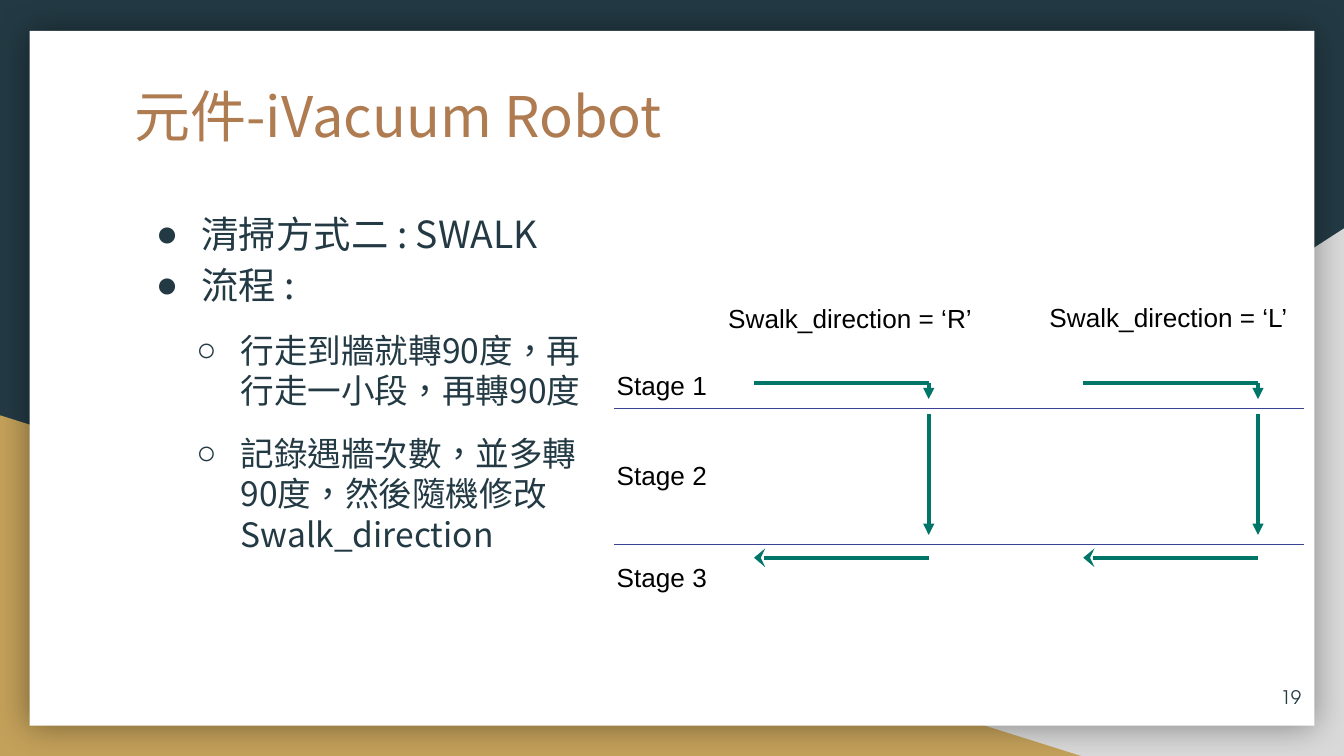
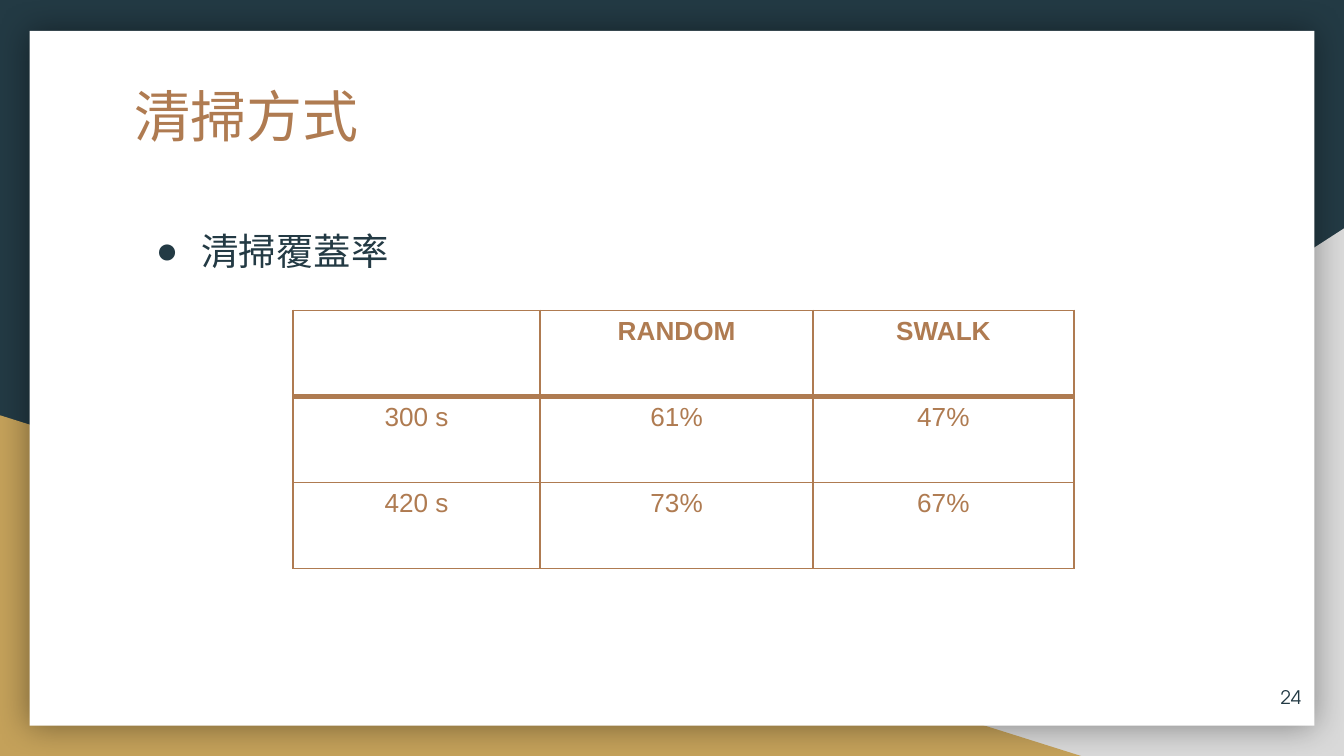
from dataclasses import dataclass

from lxml import etree
from pptx import Presentation
from pptx.dml.color import RGBColor
from pptx.enum import shapes, text
from pptx.oxml import ns
from pptx.util import Inches, Pt


@dataclass(frozen=True)
class Theme:
    navy: str = "233A44"
    gold: str = "C4A15A"
    grey: str = "D9D9D9"
    white: str = "FFFFFF"
    black: str = "000000"
    copper: str = "AF7B51"
    teal: str = "007669"
    indigo: str = "3A4293"
    cjk: str = "Noto Sans CJK SC"
    sans: str = "Arial"
    number: str = "TeX Gyre Adventor"
    language: str = "zh-TW"
    title_size: int = 30
    body_sizes: tuple = (20, 18)
    label_size: int = 14
    number_size: int = 10


THEME = Theme()

# Content: bullets are (level, text)
SWALK = {
    "title": "元件-iVacuum Robot", "number": "19",
    "body_at": (0.9, 1.42, 3.69, 3.43),
    "bullets": [(0, "清掃方式二 : SWALK"),
                (0, "流程 :"),
                (1, "行走到牆就轉90度，再行走一小段，再轉90度"),
                (1, "記錄遇牆次數，並多轉90度，然後隨機修改Swalk_direction")],
}
COVERAGE = {
    "title": "清掃方式", "number": "24",
    "body_at": (0.9, 1.55, 8.21, 3.3),
    "bullets": [(0, "清掃覆蓋率")],
}
DIAGRAM_LABELS = [
    ("Swalk_direction = ‘R’", (5.32, 2.2, 2.03, 0.34)),
    ("Swalk_direction = ‘L’", (7.71, 2.19, 1.99, 0.34)),
    ("Stage 1", (4.49, 2.7, 0.88, 0.34)),
    ("Stage 2", (4.49, 3.37, 0.88, 0.34)),
    ("Stage 3", (4.49, 4.13, 0.88, 0.34)),
]
ROUTE_LEFTS = (5.61, 8.06)
ROUTE_WIDTH = 1.3
STAGE_LINES = (3.04, 4.05)
RATES = [["", "RANDOM", "SWALK"],
         ["300 s", "61%", "47%"],
         ["420 s", "73%", "67%"]]
RATE_COLUMNS = (1.84, 2.03, 1.94)
RATE_ROW = 0.64

# Bullet character, left margin, hanging indent, space before, line spacing
BULLET_LEVELS = [("●", 0.5, -0.34, 0, 1.15), ("○", 0.79, -0.33, 12, 1.0)]


# Shared helpers
def inches(values):
    return [Inches(value) for value in values]


def add_xml(parent, tag, **attributes):
    child = etree.SubElement(parent, ns.qn(tag))
    for key, value in attributes.items():
        child.set(key, str(value))
    return child


def add_colour(parent, colour):
    fill = add_xml(parent, "a:solidFill")
    return add_xml(fill, "a:srgbClr", val=colour)


def style(para, face, size, colour, bold=False):
    font = para.font
    font.name, font.size, font.bold = face, Pt(size), bold
    font.color.rgb = RGBColor.from_string(colour)
    add_xml(font._element, "a:ea", typeface=face)
    for span in para.runs:
        span.font._element.set("lang", THEME.language)


def set_frame(frame, anchor, inset=0.1):
    frame.word_wrap = True
    frame.auto_size = text.MSO_AUTO_SIZE.NONE
    frame.vertical_anchor = anchor
    frame.margin_left = frame.margin_right = Inches(inset)
    frame.margin_top = frame.margin_bottom = Inches(inset)


def place(shape, at):
    shape.left, shape.top, shape.width, shape.height = inches(at)


def add_line(group, start, end, colour, width, arrow=None):
    line = group.add_connector(shapes.MSO_CONNECTOR.STRAIGHT, *inches(start + end))
    line.line.color.rgb = RGBColor.from_string(colour)
    line.line.width = Pt(width)
    if arrow:
        breadth = "lg" if arrow == "stealth" else "med"
        add_xml(line.line._get_or_add_ln(), "a:tailEnd", type=arrow, w=breadth)
    add_xml(line._element.spPr, "a:effectLst")


# Master scenery: dark ground, two corner triangles, white sheet
def build_master(deck, page):
    master = deck.slide_master
    master.background.fill.solid()
    master.background.fill.fore_color.rgb = RGBColor.from_string(THEME.navy)
    triangle, rectangle = shapes.MSO_SHAPE.RIGHT_TRIANGLE, shapes.MSO_SHAPE.RECTANGLE
    scenery = [(triangle, (3.92, 1.7, 6.08, 3.93), THEME.grey, True),
               (triangle, (0, 3.09, 8.06, 2.54), THEME.gold, False),
               (rectangle, (0.22, 0.23, 9.56, 5.17), THEME.white, False)]
    for depth, (kind, at, colour, flipped) in enumerate(scenery):
        shape = page.shapes.add_shape(kind, *inches(at))
        shape.shadow.inherit = False
        shape.fill.solid()
        shape.fill.fore_color.rgb = RGBColor.from_string(colour)
        shape.line.fill.background()
        if flipped:
            shape._element.spPr.xfrm.set("flipH", "1")
        if kind == rectangle:
            effects = shape._element.spPr.find(ns.qn("a:effectLst"))
            shadow = add_xml(effects, "a:outerShdw", blurRad=Pt(18), dist=0,
                             dir=0, algn="ctr", rotWithShape=0)
            tint = add_xml(shadow, "a:srgbClr", val=THEME.black)
            add_xml(tint, "a:alpha", val=40000)
        master.shapes._spTree.insert(2 + depth, shape._element)


# Title, bullet list and page number
def fill_page(page, content):
    title, body = page.placeholders
    place(title, (0.9, 0.51, 8.21, 1.04))
    set_frame(title.text_frame, text.MSO_ANCHOR.TOP)
    title.text_frame.text = content["title"]
    para = title.text_frame.paragraphs[0]
    para.alignment = text.PP_ALIGN.LEFT
    style(para, THEME.cjk, THEME.title_size, THEME.copper)

    place(body, content["body_at"])
    frame = body.text_frame
    set_frame(frame, text.MSO_ANCHOR.TOP)
    frame.text = "\n".join(words for _, words in content["bullets"])
    for para, (level, _) in zip(frame.paragraphs, content["bullets"]):
        mark, margin, indent, before, spacing = BULLET_LEVELS[level]
        para.level = level
        props = para._p.get_or_add_pPr()
        props.set("marL", str(Inches(margin)))
        props.set("indent", str(Inches(indent)))
        add_xml(add_xml(props, "a:buClr"), "a:srgbClr", val=THEME.navy)
        add_xml(props, "a:buFont", typeface=THEME.sans)
        add_xml(props, "a:buChar", char=mark)
        para.space_before, para.line_spacing = Pt(before), spacing
        style(para, THEME.cjk, THEME.body_sizes[level], THEME.navy)

    number = page.shapes.add_textbox(*inches((9.18, 4.97, 0.6, 0.43))).text_frame
    set_frame(number, text.MSO_ANCHOR.MIDDLE)
    number.text = content["number"]
    number.paragraphs[0].alignment = text.PP_ALIGN.RIGHT
    style(number.paragraphs[0], THEME.number, THEME.number_size, THEME.navy)


# Walking routes across the three stages
def add_diagram(page):
    for words, at in DIAGRAM_LABELS:
        frame = page.shapes.add_textbox(*inches(at)).text_frame
        frame.word_wrap = False
        frame.auto_size = text.MSO_AUTO_SIZE.SHAPE_TO_FIT_TEXT
        frame.text = words
        style(frame.paragraphs[0], THEME.sans, THEME.label_size, THEME.black)
    for left in ROUTE_LEFTS:
        right = left + ROUTE_WIDTH
        route = page.shapes.add_group_shape().shapes
        for start, end, arrow in [((left, 2.85), (right, 2.85), None),
                                  ((right, 2.85), (right, 2.97), "triangle"),
                                  ((right, 3.08), (right, 3.98), "triangle"),
                                  ((right, 4.15), (left, 4.15), "stealth")]:
            add_line(route, start, end, THEME.teal, 2, arrow)
    for y in STAGE_LINES:
        add_line(page.shapes, (4.57, y), (9.7, y), THEME.indigo, 0.75)


# Coverage table
def set_borders(cell, row):
    props = cell._tc.get_or_add_tcPr()
    widths = {"L": 1, "R": 1, "T": 3 if row == 1 else 1, "B": 3 if row == 0 else 1}
    for index, (side, width) in enumerate(widths.items()):
        border = add_xml(props, f"a:ln{side}", w=Pt(width))
        add_colour(border, THEME.copper)
        props.insert(index, border)


def add_rates(page):
    at = (2.18, 2.31, sum(RATE_COLUMNS), RATE_ROW * len(RATES))
    table = page.shapes.add_table(len(RATES), len(RATE_COLUMNS), *inches(at)).table
    table.first_row = table.horz_banding = False
    for column, width in zip(table.columns, RATE_COLUMNS):
        column.width = Inches(width)
    for row, values in enumerate(RATES):
        table.rows[row].height = Inches(RATE_ROW)
        for column, value in enumerate(values):
            cell = table.cell(row, column)
            cell.text = value
            cell.fill.solid()
            cell.fill.fore_color.rgb = RGBColor.from_string(THEME.white)
            set_borders(cell, row)
            para = cell.text_frame.paragraphs[0]
            para.alignment = text.PP_ALIGN.CENTER
            style(para, THEME.sans, THEME.label_size, THEME.copper, bold=row == 0)


def main():
    deck = Presentation()
    deck.slide_width = Inches(10)
    deck.slide_height = deck.slide_width * 9 // 16
    layout = deck.slide_layouts[1]
    swalk_page, coverage_page = (deck.slides.add_slide(layout) for _ in range(2))
    build_master(deck, swalk_page)
    fill_page(swalk_page, SWALK)
    add_diagram(swalk_page)
    fill_page(coverage_page, COVERAGE)
    add_rates(coverage_page)
    deck.save("out.pptx")


if __name__ == "__main__":
    main()
